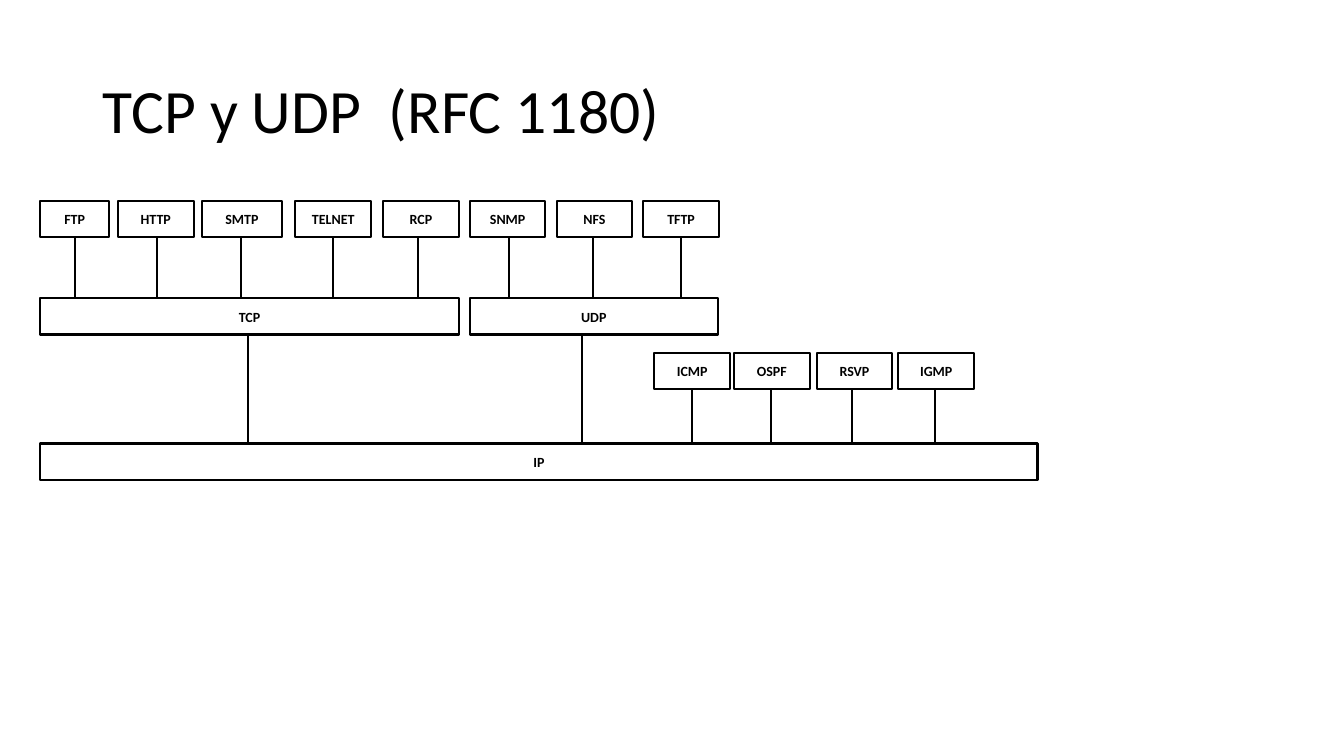
from pptx import Presentation
from pptx.dml.color import RGBColor
from pptx.enum.shapes import MSO_CONNECTOR, MSO_SHAPE
from pptx.enum.text import MSO_ANCHOR, MSO_AUTO_SIZE, PP_ALIGN
from pptx.oxml.ns import qn
from pptx.util import Inches, Pt
from lxml.etree import SubElement

BOX_HEIGHT = 0.36
APPLICATION_TOP, TRANSPORT_TOP, CONTROL_TOP, IP_TOP = 1.99, 2.96, 3.5, 4.4

APPLICATIONS = [
    ("FTP", 0.4, 0.68, 0.74),
    ("HTTP", 1.17, 0.75, 1.56),
    ("SMTP", 2, 0.8, 2.39),
    ("TELNET", 2.93, 0.75, 3.3),
    ("RCP", 3.8, 0.75, 4.15),
    ("SNMP", 4.66, 0.75, 5.05),
    ("NFS", 5.52, 0.75, 5.88),
    ("TFTP", 6.38, 0.75, 6.75),
]
TRANSPORTS = [("TCP", 0.4, 4.15, 2.46), ("UDP", 4.66, 2.46, 5.77)]
CONTROLS = [
    ("ICMP", 6.49, 0.75, 6.86),
    ("OSPF", 7.28, 0.75, 7.65),
    ("RSVP", 8.1, 0.75, 8.45),
    ("IGMP", 8.91, 0.75, 9.27),
]


def color(value):
    return RGBColor.from_string(value)


class ProtocolSlide:
    font = "Calibri"
    ink = "000000"
    line_width = 1.5

    def __init__(self, slide):
        self.slide = slide

    def label(self, frame, text, size, bold, align):
        frame.word_wrap = True
        frame.auto_size = MSO_AUTO_SIZE.NONE
        frame.vertical_anchor = MSO_ANCHOR.MIDDLE
        frame.text = text
        paragraph = frame.paragraphs[0]
        paragraph.alignment = align
        paragraph.font.name = self.font
        paragraph.font.size = Pt(size)
        paragraph.font.bold = bold
        paragraph.font.color.rgb = color(self.ink)
        return paragraph

    def outline(self, line):
        line.color.rgb = color(self.ink)
        line.width = Pt(self.line_width)

    def title(self, text, left, top, width, height):
        heading = self.slide.shapes.title
        heading.left, heading.top = Inches(left), Inches(top)
        heading.width, heading.height = Inches(width), Inches(height)
        paragraph = self.label(heading.text_frame, text, 44, False, PP_ALIGN.LEFT)
        paragraph.line_spacing = 0.9

    def box(self, name, left, top, width):
        protocol = self.slide.shapes.add_shape(
            MSO_SHAPE.RECTANGLE, Inches(left), Inches(top), Inches(width), Inches(BOX_HEIGHT))
        protocol.shadow.inherit = False
        protocol.fill.background()
        self.outline(protocol.line)
        self.label(protocol.text_frame, name, 10, True, PP_ALIGN.CENTER)

    def stem(self, x, top, bottom):
        link = self.slide.shapes.add_connector(
            MSO_CONNECTOR.STRAIGHT, Inches(x), Inches(top), Inches(x), Inches(bottom))
        self.outline(link.line)
        SubElement(link._element.spPr, qn("a:effectLst"))

    def layer(self, protocols, top, next_top):
        for name, left, width, stem_x in protocols:
            self.box(name, left, top, width)
            self.stem(stem_x, top + BOX_HEIGHT, next_top)


def main():
    deck = Presentation()
    deck.slide_width, deck.slide_height = Inches(13.33), Inches(7.5)
    stack = ProtocolSlide(deck.slides.add_slide(deck.slide_layouts[5]))
    stack.title("TCP y UDP  (RFC 1180)", 0.92, 0.4, 11.5, 1.45)
    stack.layer(APPLICATIONS, APPLICATION_TOP, TRANSPORT_TOP)
    stack.layer(TRANSPORTS, TRANSPORT_TOP, IP_TOP)
    stack.layer(CONTROLS, CONTROL_TOP, IP_TOP)
    stack.box("IP", 0.4, IP_TOP, 9.89)
    deck.save("out.pptx")


if __name__ == "__main__":
    main()
